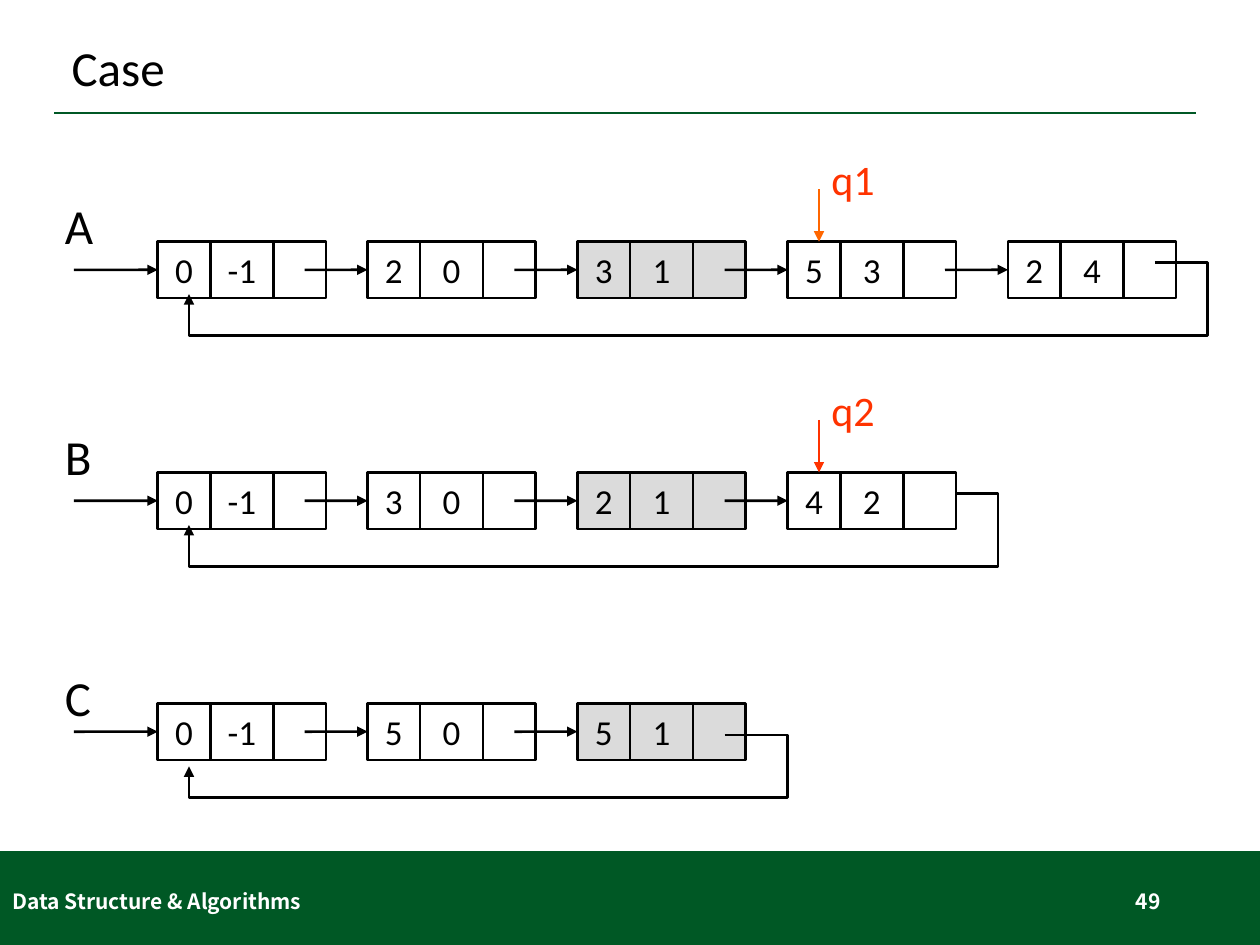
from pptx import Presentation
from pptx.dml.color import RGBColor
from pptx.enum.shapes import MSO_CONNECTOR, MSO_SHAPE
from pptx.enum.text import MSO_ANCHOR, MSO_AUTO_SIZE, PP_ALIGN
from pptx.oxml.ns import qn
from pptx.util import Cm, Pt
from lxml import etree

RECTANGLE = MSO_SHAPE.RECTANGLE
STRAIGHT = MSO_CONNECTOR.STRAIGHT
TOP, MIDDLE = MSO_ANCHOR.TOP, MSO_ANCHOR.MIDDLE
LEFT, CENTER, RIGHT = PP_ALIGN.LEFT, PP_ALIGN.CENTER, PP_ALIGN.RIGHT
NO_FIT = MSO_AUTO_SIZE.NONE
LEFT_SIDE = 1

BLACK = RGBColor(0x00, 0x00, 0x00)
WHITE = RGBColor(0xFF, 0xFF, 0xFF)
GREEN = RGBColor(0x00, 0x58, 0x25)
GREY = RGBColor(0xDB, 0xDB, 0xDB)
ORANGE = RGBColor(0xFF, 0x66, 0x00)
RED = RGBColor(0xFF, 0x33, 0x00)

TITLE_FONT = {"name": "Calibri", "size": Pt(28)}
CELL_FONT = {"name": "Calibri", "size": Pt(20)}
MARK_FONT = {"name": "Calibri", "size": Pt(24)}
FOOTER_FONT = {"name": "Noto Sans CJK SC", "size": Pt(12), "bold": True}

# Lengths in centimetres
CELL_WIDTHS = (1.06, 1.27, 1.06)
CELL_HEIGHT = 1.14
NODE_LEFTS = (3.18, 7.41, 11.64, 15.88, 20.32)
SHADED_NODE = 2
FIRST_ROW_TOP, ROW_PITCH = 4.87, 4.655
ENTRY_LENGTH, POINTER_LENGTH = 1.69, 1.27
LOOP_LEFT, LOOP_DEPTH = 3.81, 1.9
MARK_LEFT = 16.51

# Offsets (label_rise, loop_leave, loop_tip) are measured from the row's top.
LISTS = [
    {"name": "A", "nodes": [(0, -1), (2, 0), (3, 1), (5, 3), (2, 4)],
     "label_rise": 1.06, "loop_start": 23.28, "loop_right": 24.34,
     "loop_leave": 0.42, "loop_tip": 1.06, "mark": ("q1", ORANGE)},
    {"name": "B", "nodes": [(0, -1), (3, 0), (2, 1), (4, 2)],
     "label_rise": 1.06, "loop_start": 19.28, "loop_right": 20.12,
     "loop_leave": 0.42, "loop_tip": 1.06, "mark": ("q2", RED)},
    {"name": "C", "nodes": [(0, -1), (5, 0), (5, 1)],
     "label_rise": 0.85, "loop_start": 14.61, "loop_right": 15.88,
     "loop_leave": 0.64, "loop_tip": 1.27, "mark": None},
]


def write(shape, text, font, color=BLACK, align=LEFT, anchor=TOP):
    frame = shape.text_frame
    for name, value in {"word_wrap": True, "auto_size": NO_FIT,
                        "vertical_anchor": anchor}.items():
        setattr(frame, name, value)
    para = frame.paragraphs[0]
    para.alignment = align
    span = para.add_run()
    span.text = text
    for name, value in font.items():
        setattr(span.font, name, value)
    span.font.color.rgb = color
    return para


def add_text(page, bounds, *args, **formats):
    box = page.shapes.add_textbox(*map(Cm, bounds))
    write(box, *args, **formats)


def add_box(page, bounds, fill=None, outline=None):
    box = page.shapes.add_shape(RECTANGLE, *map(Cm, bounds))
    box.shadow.inherit = False
    if fill is None:
        box.fill.background()
    else:
        box.fill.solid()
        box.fill.fore_color.rgb = fill
    if outline is None:
        box.line.fill.background()
    else:
        style_line(box.line, outline, 1.5)
    return box


def style_line(line, color, width):
    line.color.rgb = color
    line.width = Pt(width)


def add_arrowhead(line):
    etree.SubElement(line._get_or_add_ln(), qn("a:tailEnd"), type="triangle")


def add_line(page, start, end, color=BLACK, width=1.5, arrow=True):
    line = page.shapes.add_connector(STRAIGHT, *map(Cm, (*start, *end)))
    style_line(line.line, color, width)
    if arrow:
        add_arrowhead(line.line)
    etree.SubElement(line._element.spPr, qn("a:effectLst"))
    return line


def add_node(page, left, top, values, fill):
    """Draw value, index and pointer cells; return the first cell."""
    cells = []
    for width, text in zip(CELL_WIDTHS, (*map(str, values), "")):
        cell = add_box(page, (left, top, width, CELL_HEIGHT), fill, BLACK)
        if text:
            write(cell, text, CELL_FONT, align=CENTER, anchor=MIDDLE)
        cells.append(cell)
        left += width
    return cells[0]


def add_loop(page, row, top):
    """Draw the arrow from the last node back to the first one."""
    right, bottom = row["loop_right"], top + LOOP_DEPTH
    leave = top + row["loop_leave"]
    corners = [(right, leave), (right, bottom), (LOOP_LEFT, bottom),
               (LOOP_LEFT, top + row["loop_tip"])]
    builder = page.shapes.build_freeform(Cm(row["loop_start"]), Cm(leave))
    builder.add_line_segments([(Cm(x), Cm(y)) for x, y in corners], close=False)
    loop = builder.convert_to_shape()
    loop.shadow.inherit = False
    loop.fill.background()
    style_line(loop.line, BLACK, 1.5)
    add_arrowhead(loop.line)


def add_linked_list(page, row, top):
    middle = top + CELL_HEIGHT / 2
    for index, (left, values) in enumerate(zip(NODE_LEFTS, row["nodes"])):
        fill = GREY if index == SHADED_NODE else None
        first_cell = add_node(page, left, top, values, fill)
        length = POINTER_LENGTH if index else ENTRY_LENGTH
        pointer = add_line(page, (left - length, middle), (left, middle))
        pointer.end_connect(first_cell, LEFT_SIDE)
    add_loop(page, row, top)
    add_text(page, (1.06, top - row["label_rise"], 2.12, 1.45),
             row["name"], TITLE_FONT)
    if row["mark"]:
        name, color = row["mark"]
        add_line(page, (MARK_LEFT, top - 1.06), (MARK_LEFT, top), color, 0.75)
        add_text(page, (MARK_LEFT, top - 1.9, 2.12, 1.28), name, MARK_FONT, RED)


def add_title(page, text):
    title = page.shapes.title
    bounds = {"left": 1.19, "top": 0.58, "width": 23.01, "height": 1.68}
    for name, value in bounds.items():
        setattr(title, name, Cm(value))
    write(title, text, TITLE_FONT, anchor=MIDDLE).line_spacing = 0.9


def add_frame(page):
    """Draw the rule under the title and the footer band."""
    add_box(page, (0, 17.16, 25.4, 1.89), GREEN)
    add_line(page, (1.09, 2.28), (24.11, 2.28), GREEN, 1, arrow=False)
    add_text(page, (0, 17.65, 8.59, 1.02), "Data Structure & Algorithms",
             FOOTER_FONT, WHITE, anchor=MIDDLE)
    add_text(page, (17.93, 17.65, 5.72, 1.02), "49",
             FOOTER_FONT, WHITE, align=RIGHT, anchor=MIDDLE)


def main():
    deck = Presentation()
    deck.slide_width, deck.slide_height = Cm(25.4), Cm(19.05)
    page = deck.slides.add_slide(deck.slide_layouts[5])
    add_title(page, "Case")
    add_frame(page)
    for index, row in enumerate(LISTS):
        add_linked_list(page, row, FIRST_ROW_TOP + index * ROW_PITCH)
    deck.save("out.pptx")


if __name__ == "__main__":
    main()
